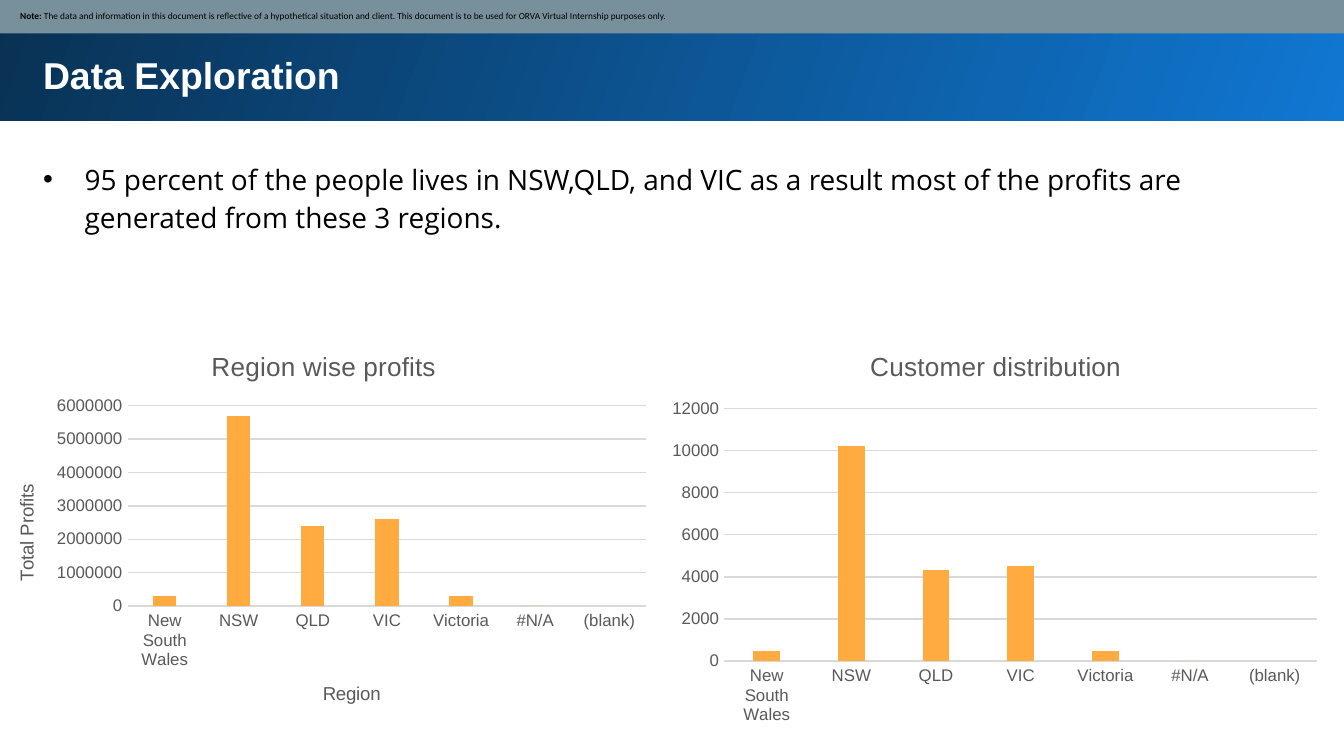
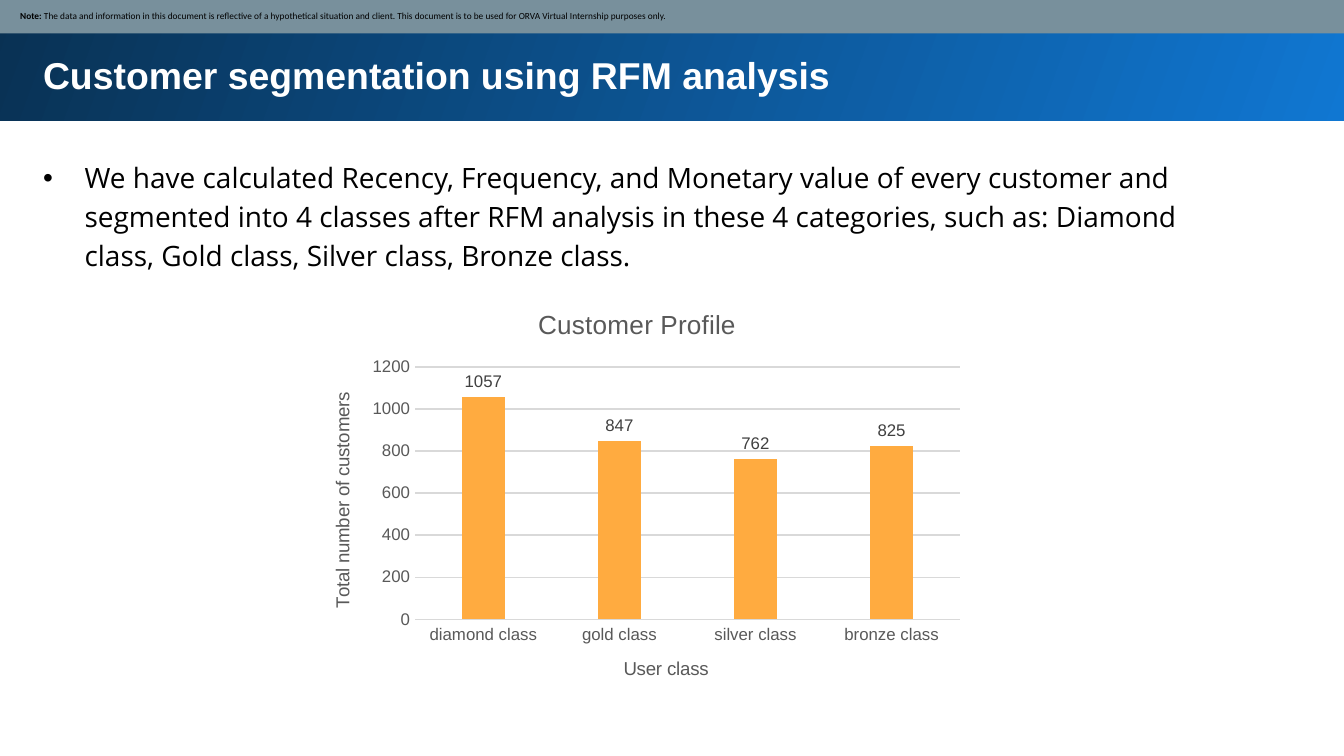
from dataclasses import dataclass

from lxml import etree
from pptx import Presentation
from pptx import util as u
from pptx.chart.data import CategoryChartData
from pptx.dml.color import RGBColor
from pptx.enum import chart as ch, shapes, text
from pptx.oxml import ns

HUES = {
    "navy": "093153", "blue": "1077D2", "slate": "78909C", "white": "FFFFFF",
    "black": "000000", "gold": "FFAB40", "gray": "595959", "rule": "D9D9D9",
    "dark": "404040",
}
NOTE = ("The data and information in this document is reflective of a "
        "hypothetical situation and client. This document is to be used for "
        "ORVA Virtual Internship purposes only.")
STATES = ("New South Wales", "NSW", "QLD", "VIC", "Victoria", "#N/A", "(blank)")
TIERS = tuple(f"{tier} class" for tier in ("diamond", "gold", "silver", "bronze"))


@dataclass(frozen=True)
class Box:
    x: float
    y: float
    w: float
    h: float

    def args(self) -> tuple:
        return tuple(u.Inches(n) for n in (self.x, self.y, self.w, self.h))


@dataclass(frozen=True)
class Graph:
    title: str
    box: Box
    plot: Box
    cats: tuple
    vals: tuple
    top: int
    step: int
    x_name: str = ""
    y_name: str = ""
    labels: bool = False


@dataclass(frozen=True)
class Page:
    title: str
    head: Box
    point: str
    body: Box
    graphs: tuple


PAGES = (
    Page(
        "Data Exploration", Box(0.22, 0.29, 9.37, 0.51),
        "95 percent of the people lives in NSW,QLD, and VIC as a result most "
        "of the profits are generated from these 3 regions.",
        Box(0.22, 1.07, 9.28, 0.78),
        (
            Graph("Customer distribution", Box(4.91, 2.45, 5, 3),
                  Box(5.39, 3.04, 4.41, 1.88), STATES,
                  (500, 10200, 4300, 4500, 500, 0, None), 12000, 2000),
            Graph("Region wise profits", Box(-0.09, 2.45, 5, 3),
                  Box(0.95, 3.02, 3.86, 1.49), STATES,
                  (300000, 5700000, 2400000, 2600000, 300000, 0, None),
                  6000000, 1000000, "Region", "Total Profits"),
        ),
    ),
    Page(
        "Customer segmentation using RFM analysis", Box(0.22, 0.29, 9.37, 0.54),
        "We have calculated Recency, Frequency, and Monetary value of every "
        "customer and segmented into 4 classes after RFM analysis in these 4 "
        "categories, such as: Diamond class, Gold class, Silver class, "
        "Bronze class.",
        Box(0.22, 1.06, 9.03, 1.05),
        (
            Graph("Customer Profile", Box(2.24, 2.14, 5, 3.13),
                  Box(3.09, 2.73, 4.05, 1.88), TIERS, (1057, 847, 762, 825),
                  1200, 200, "User class", "Total number of customers", True),
        ),
    ),
)


def hue(name: str) -> RGBColor:
    return RGBColor.from_string(HUES[name])


def style(font, size: float, color: str, face: str = "Arial",
          bold: bool = False) -> None:
    font.size, font.name, font.bold = u.Pt(size), face, bold
    font.color.rgb = hue(color)


def write(frame, words: str, **fmt):
    """Add a run to the first paragraph and return that paragraph."""
    para = frame.paragraphs[0]
    run = para.add_run()
    run.text = words
    style(run.font, **fmt)
    return para


def bar(slide, box: Box):
    shape = slide.shapes.add_shape(shapes.MSO_SHAPE.RECTANGLE, *box.args())
    shape.shadow.inherit = False
    shape.line.fill.background()
    return shape


def add_band(slide) -> None:
    band = bar(slide, Box(-0.02, -0.02, 10.05, 0.92))
    band.fill.gradient()
    band.fill.gradient_angle = 160
    for stop, name, spot in zip(band.fill.gradient_stops, ("blue", "navy"), (0, 1)):
        stop.color.rgb, stop.position = hue(name), spot
    # The band goes behind the title placeholder.
    slide.shapes._spTree.insert(2, band._element)


def add_note(slide) -> None:
    strip = bar(slide, Box(-0.01, -0.01, 10.03, 0.26))
    strip.fill.solid()
    strip.fill.fore_color.rgb = hue("slate")
    frame = strip.text_frame
    frame.word_wrap = True
    frame.vertical_anchor = text.MSO_ANCHOR.MIDDLE
    frame.margin_left = u.Inches(0.16)
    frame.margin_right = frame.margin_top = frame.margin_bottom = u.Inches(0.05)
    for words, bold in (("Note: ", True), (NOTE, False)):
        para = write(frame, words, size=5, color="black", face="Calibri", bold=bold)
    para.alignment = text.PP_ALIGN.LEFT


def fill_slot(slot, box: Box, words: str, **fmt):
    """Place a placeholder, set its text and return the paragraph."""
    slot.left, slot.top, slot.width, slot.height = box.args()
    frame = slot.text_frame
    frame.word_wrap = True
    frame.auto_size = text.MSO_AUTO_SIZE.SHAPE_TO_FIT_TEXT
    frame.vertical_anchor = text.MSO_ANCHOR.TOP
    frame.margin_left = frame.margin_right = u.Inches(0.1)
    frame.margin_top = frame.margin_bottom = u.Inches(0.1)
    para = write(frame, words, **fmt)
    para.alignment = text.PP_ALIGN.LEFT
    para.space_before = u.Pt(0)
    return para


def add_bullet(para) -> None:
    props = para._p.get_or_add_pPr()
    props.set("marL", str(u.Inches(0.31)))
    props.set("indent", str(u.Inches(-0.31)))
    etree.SubElement(props, ns.qn("a:buFont")).set("typeface", "Arial")
    etree.SubElement(props, ns.qn("a:buChar")).set("char", "•")


def fix_plot(chart, box: Box, plot: Box) -> None:
    """Pin the inner plot area, given in slide inches."""
    area = chart._chartSpace.chart.plotArea
    for old in area.findall(ns.qn("c:layout")):
        area.remove(old)
    outer = etree.Element(ns.qn("c:layout"))
    inner = etree.SubElement(outer, ns.qn("c:manualLayout"))
    marks = {
        "layoutTarget": "inner", "xMode": "edge", "yMode": "edge",
        "x": (plot.x - box.x) / box.w, "y": (plot.y - box.y) / box.h,
        "w": plot.w / box.w, "h": plot.h / box.h,
    }
    for tag, val in marks.items():
        etree.SubElement(inner, ns.qn(f"c:{tag}")).set("val", str(val))
    area.insert(0, outer)


def set_axis(axis, name: str) -> None:
    axis.major_tick_mark = axis.minor_tick_mark = ch.XL_TICK_MARK.NONE
    style(axis.tick_labels.font, 9, "gray")
    axis.has_title = bool(name)
    if name:
        write(axis.axis_title.text_frame, name, size=10, color="gray")


def rule(line) -> None:
    line.color.rgb = hue("rule")
    line.width = u.Pt(0.75)


def add_graph(slide, graph: Graph) -> None:
    data = CategoryChartData()
    data.categories = graph.cats
    data.add_series("Series 1", graph.vals)
    chart = slide.shapes.add_chart(
        ch.XL_CHART_TYPE.COLUMN_CLUSTERED, *graph.box.args(), data).chart
    style(chart.font, 10, "black")
    chart.has_legend = False
    chart.has_title = True
    write(chart.chart_title.text_frame, graph.title, size=14, color="gray")
    chart.chart_title.include_in_layout = False

    cat, val = chart.category_axis, chart.value_axis
    set_axis(cat, graph.x_name)
    set_axis(val, graph.y_name)
    rule(cat.format.line)
    val.format.line.fill.background()
    val.has_major_gridlines = True
    rule(val.major_gridlines.format.line)
    val.minimum_scale, val.maximum_scale = 0, graph.top
    val.major_unit = graph.step

    plot = chart.plots[0]
    plot.gap_width, plot.overlap, plot.vary_by_categories = 219, -27, False
    fill = plot.series[0].format.fill
    fill.solid()
    fill.fore_color.rgb = hue("gold")
    if graph.labels:
        tags = plot.series[0].data_labels
        tags.show_value = True
        tags.position = ch.XL_LABEL_POSITION.OUTSIDE_END
        style(tags.font, 9, "dark")
    fix_plot(chart, graph.box, graph.plot)


def add_page(deck, page: Page) -> None:
    slide = deck.slides.add_slide(deck.slide_layouts[1])
    add_band(slide)
    fill_slot(slide.shapes.title, page.head, page.title,
              size=20, color="white", bold=True)
    para = fill_slot(slide.placeholders[1], page.body, page.point,
                     size=15, color="black", face="Open Sans")
    para.line_spacing = 1.15
    add_bullet(para)
    add_note(slide)
    for graph in page.graphs:
        add_graph(slide, graph)


def main() -> None:
    deck = Presentation()
    deck.slide_width = u.Inches(10)
    deck.slide_height = deck.slide_width * 9 // 16
    for page in PAGES:
        add_page(deck, page)
    deck.save("out.pptx")


if __name__ == "__main__":
    main()
